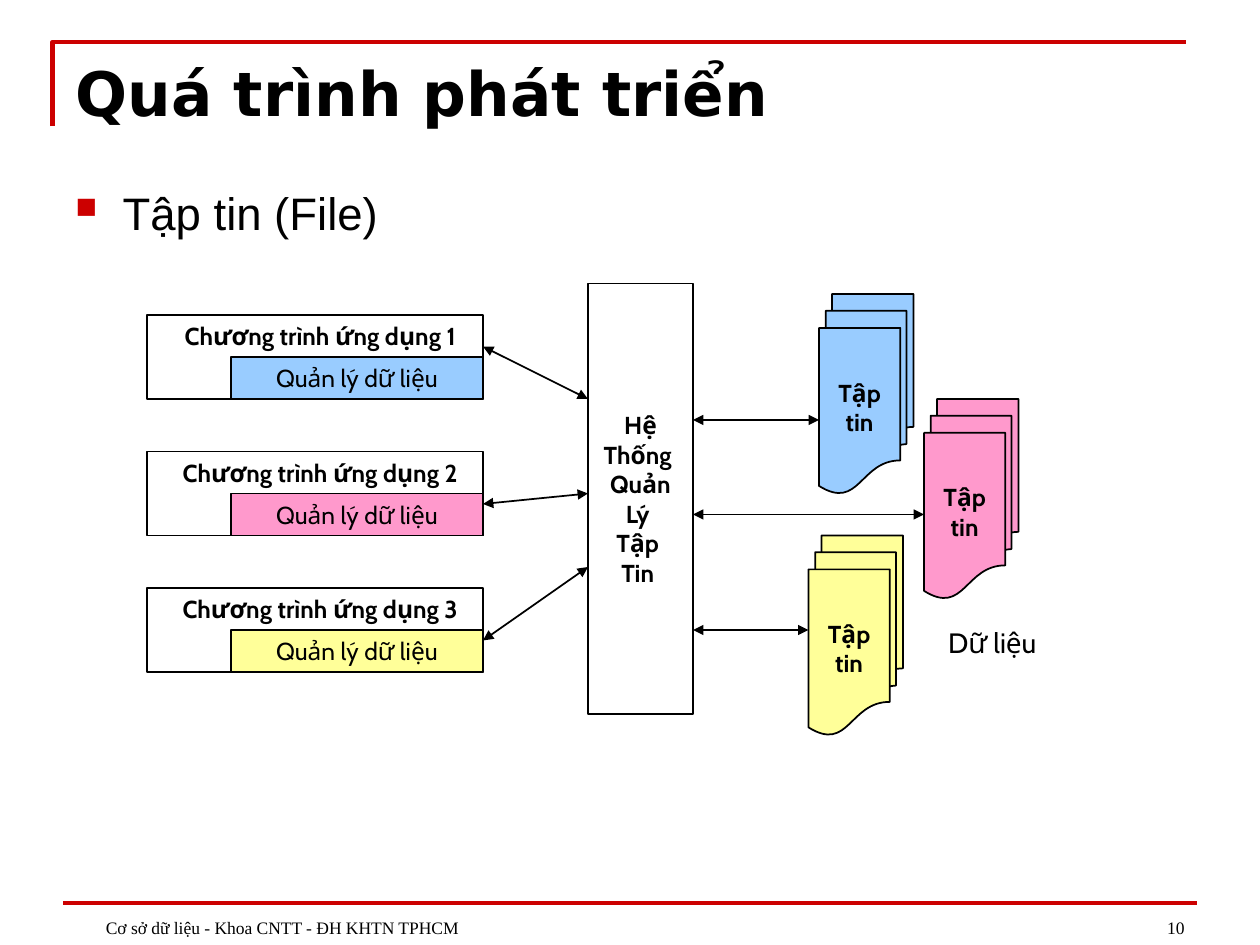
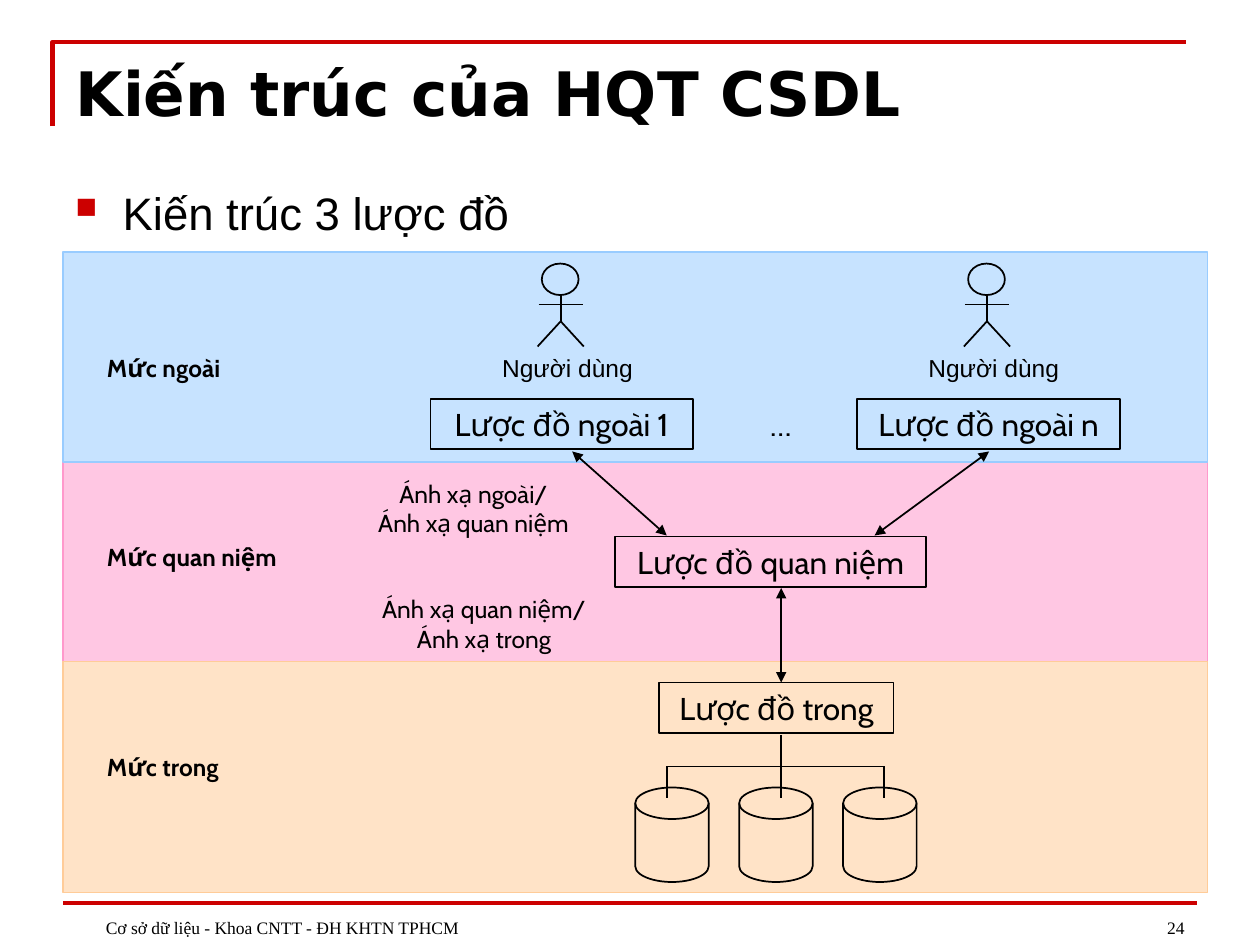
from lxml import etree
from pptx import Presentation
from pptx.dml.color import RGBColor
from pptx.enum.shapes import MSO_CONNECTOR, MSO_SHAPE
from pptx.enum.text import MSO_ANCHOR, MSO_AUTO_SIZE, PP_ALIGN
from pptx.oxml.ns import qn
from pptx.util import Emu, Pt

PX = 7620  # EMU per px, 120 px to the inch
RECTANGLE = MSO_SHAPE.RECTANGLE
ELLIPSE = MSO_SHAPE.OVAL
DISK = MSO_SHAPE.FLOWCHART_MAGNETIC_DISK
DOCUMENTS = MSO_SHAPE.FLOWCHART_MULTIDOCUMENT
STRAIGHT = MSO_CONNECTOR.STRAIGHT
LEFT, CENTER, RIGHT = PP_ALIGN.LEFT, PP_ALIGN.CENTER, PP_ALIGN.RIGHT
TOP, MIDDLE, BOTTOM = MSO_ANCHOR.TOP, MSO_ANCHOR.MIDDLE, MSO_ANCHOR.BOTTOM
NO_AUTOFIT = MSO_AUTO_SIZE.NONE

COLORS = {
    "black": "000000",
    "red": "CC0000",
    "blue": "99CCFF",
    "pink": "FF99CC",
    "yellow": "FFFF99",
    "orange": "FFCC99",
}
TITLE_FONT, BODY_FONT = "DejaVu Sans", "Arial"
DIAGRAM_FONT, FOOTER_FONT = "Cabin", "Times New Roman"
FOOTER = "Cơ sở dữ liệu - Khoa CNTT - ĐH KHTN TPHCM"


def color(name):
    return RGBColor.from_string(COLORS[name])


def lengths(*values):
    return [Emu(value * PX) for value in values]


def add_element(parent, tag, **attributes):
    return etree.SubElement(parent, qn(tag), attributes)


class Deck:
    def __init__(self):
        self.presentation = Presentation()
        self.presentation.slide_width, self.presentation.slide_height = lengths(1200, 900)
        self.layout = next(layout for layout in self.presentation.slide_layouts
                           if layout.name == "Title Only")
        self.slide = None

    def start_slide(self, title, topic, number):
        self.slide = self.presentation.slides.add_slide(self.layout)
        # Red frame and footer rule
        builder = self.slide.shapes.build_freeform(50, 120, scale=PX)
        builder.add_line_segments([(50, 40), (1130, 40)], close=False)
        frame = builder.convert_to_shape()
        frame.shadow.inherit = False
        frame.fill.background()
        self.outline(frame, "red", 2.5)
        self.line((60, 860), (1140, 860), line="red", width=2)
        # Title
        holder = self.slide.shapes.title
        holder.left, holder.top, holder.width, holder.height = lengths(60, 47, 1080, 82)
        self.fill_text(holder, title, 35, TITLE_FONT, bold=True, align=LEFT, anchor=TOP)
        # Topic and footer
        self.text((60, 170, 1080, 60), topic, 26, BODY_FONT, align=LEFT, bullet=True)
        self.text((860, 839, 280, 60), number, 10, FOOTER_FONT, align=RIGHT, anchor=BOTTOM)
        self.text((60, 839, 730, 60), FOOTER, 10, FOOTER_FONT, align=LEFT,
                  anchor=BOTTOM, indent=29)

    def outline(self, shape, line="black", width=1):
        shape.line.color.rgb = color(line)
        shape.line.width = Pt(width)

    def fill_text(self, shape, text, size, font=DIAGRAM_FONT, bold=False, align=CENTER,
                  anchor=TOP, wrap=True, bullet=False, indent=0):
        """A newline starts a paragraph, a vertical tab breaks a line."""
        frame = shape.text_frame
        frame.auto_size = NO_AUTOFIT
        frame.word_wrap = wrap
        frame.vertical_anchor = anchor
        for index, content in enumerate(text.split("\n")):
            paragraph = frame.add_paragraph() if index else frame.paragraphs[0]
            paragraph.alignment = align
            if bullet:
                self.add_bullet(paragraph)
            elif indent:
                paragraph._p.get_or_add_pPr().set("marL", str(indent * PX))
            for position, part in enumerate(content.split("\v")):
                if position:
                    paragraph.add_line_break()
                run = paragraph.add_run()
                run.text = part
                run.font.size = Pt(size)
                run.font.name = font
                run.font.bold = bold
                run.font.color.rgb = color("black")

    def add_bullet(self, paragraph):
        properties = paragraph._p.get_or_add_pPr()
        properties.set("marL", str(45 * PX))
        properties.set("indent", str(-45 * PX))
        add_element(add_element(properties, "a:buClr"), "a:srgbClr", val=COLORS["red"])
        add_element(properties, "a:buSzPct", val="65000")
        add_element(properties, "a:buChar", char="■")

    def text(self, box, text, size=14, font=DIAGRAM_FONT, **style):
        shape = self.slide.shapes.add_textbox(*lengths(*box))
        self.fill_text(shape, text, size, font, **style)

    def shape(self, kind, box, fill=None, line="black", opacity=100,
              text=None, size=14, bold=False):
        shape = self.slide.shapes.add_shape(kind, *lengths(*box))
        shape.shadow.inherit = False
        if fill:
            shape.fill.solid()
            shape.fill.fore_color.rgb = color(fill)
            if opacity < 100:
                solid = shape.element.spPr.find(qn("a:solidFill"))
                add_element(solid[0], "a:alpha", val=str(opacity * 1000))
        else:
            shape.fill.background()
        self.outline(shape, line)
        if text:
            self.fill_text(shape, text, size, bold=bold, anchor=MIDDLE, wrap=False)

    def line(self, start, end, line="black", width=1, arrows=False):
        connector = self.slide.shapes.add_connector(STRAIGHT, *lengths(*start, *end))
        self.outline(connector, line, width)
        properties = connector.element.spPr
        if arrows:
            for tag in ("a:headEnd", "a:tailEnd"):
                add_element(properties.find(qn("a:ln")), tag, type="triangle")
        add_element(properties, "a:effectLst")

    def person(self, x):
        self.shape(ELLIPSE, (x - 18, 251, 35, 30))
        for foot in (x - 22, x + 22):
            self.line((x, 306), (foot, 330))
        self.line((x, 281), (x, 306))
        self.line((x - 21, 290), (x + 21, 290))
        self.text((x - 68, 330, 149, 40), "Người dùng", font=BODY_FONT, anchor=MIDDLE)


def build_file_slide(deck):
    deck.start_slide("Quá trình phát triển", "Tập tin (File)", "10")

    # File management system
    deck.shape(RECTANGLE, (560, 270, 100, 410), bold=True,
               text="Hệ\nThống \nQuản\nLý \nTập \nTin ")

    # Application programs
    for index, fill in enumerate(("blue", "pink", "yellow")):
        top = 300 + 130 * index
        deck.shape(RECTANGLE, (140, top, 320, 80))
        deck.text((140, top, 330, 41), f"Chương trình ứng dụng {index + 1}", bold=True)
        deck.shape(RECTANGLE, (220, top + 40, 240, 40), fill, text="Quản lý dữ liệu")

    # Files
    for left, top, fill in ((880, 380, "pink"), (780, 280, "blue"), (770, 510, "yellow")):
        deck.shape(DOCUMENTS, (left, top, 90, 190), fill, text="Tập\ntin", bold=True)
    deck.text((880, 590, 130, 44), "Dữ liệu", 16)

    # Links from programs to system and from system to files
    for program_y, system_y in ((330, 380), (480, 470), (610, 540)):
        deck.line((460, program_y), (560, system_y), arrows=True)
    for y, file_x in ((400, 780), (490, 880), (600, 770)):
        deck.line((660, y), (file_x, y), arrows=True)


def build_architecture_slide(deck):
    deck.start_slide("Kiến trúc của HQT CSDL", "Kiến trúc 3 lược đồ", "24")

    # Level bands and their labels
    for top, height, fill, label_top, label in (
        (440, 190, "pink", 510, "Mức quan niệm"),
        (630, 220, "orange", 710, "Mức trong"),
        (240, 200, "blue", 330, "Mức ngoài"),
    ):
        deck.shape(RECTANGLE, (60, top, 1090, height), fill, line=fill, opacity=55)
        deck.text((90, label_top, 228, 41), label, bold=True, align=LEFT)

    # Users
    for x in (534, 940):
        deck.person(x)

    # Schemas
    for left, top, width, label in (
        (410, 380, 250, "Lược đồ ngoài 1"),
        (816, 380, 251, "Lược đồ ngoài n"),
        (586, 511, 296, "Lược đồ quan niệm"),
        (628, 650, 223, "Lược đồ trong"),
    ):
        deck.shape(RECTANGLE, (left, top, width, 48), text=label, size=18)
    deck.text((684, 380, 119, 48), "…", 18)

    # Mappings
    deck.text((337, 450, 228, 68), "Ánh xạ ngoài/\vÁnh xạ quan niệm")
    deck.text((347, 560, 228, 96), "Ánh xạ quan niệm/\vÁnh xạ trong")
    for start, end in (
        ((744, 560), (744, 650)),
        ((545, 430), (635, 510)),
        ((942, 430), (833, 510)),
    ):
        deck.line(start, end, arrows=True)

    # Stored databases
    for index in range(3):
        deck.shape(DISK, (605 + 99 * index, 750, 70, 90))
    deck.line((635, 730), (842, 730))
    for x, top in ((635, 730), (842, 730), (744, 700)):
        deck.line((x, top), (x, 760))


def main():
    deck = Deck()
    build_file_slide(deck)
    build_architecture_slide(deck)
    deck.presentation.save("out.pptx")


if __name__ == "__main__":
    main()
